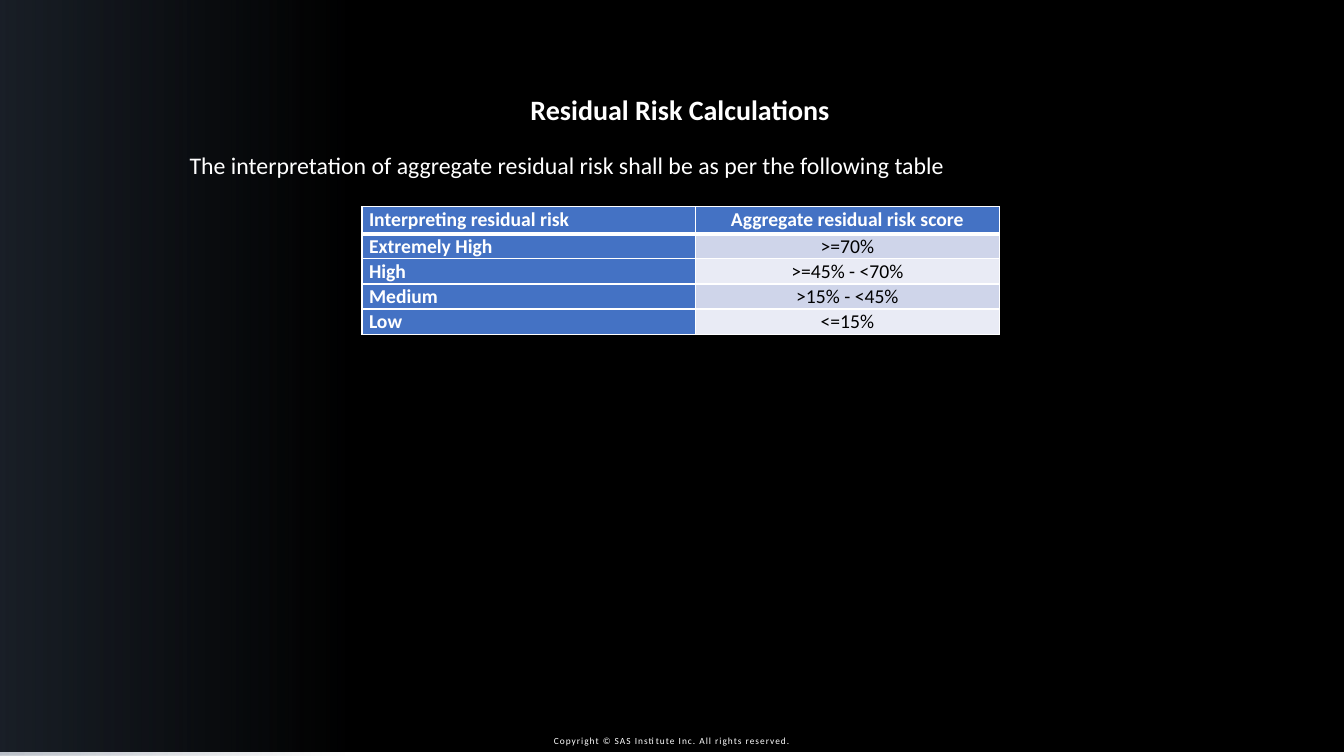
import pptx
import pptx.util
import pptx.dml.color
import pptx.enum.shapes
import pptx.enum.text
import pptx.oxml
import pptx.oxml.ns
import lxml.etree

Inches = pptx.util.Inches
Pt = pptx.util.Pt
RGBColor = pptx.dml.color.RGBColor
ALIGN = pptx.enum.text.PP_ALIGN
ANCHOR = pptx.enum.text.MSO_ANCHOR
qn = pptx.oxml.ns.qn

WHITE = RGBColor(0xFF, 0xFF, 0xFF)
BLACK = RGBColor(0x00, 0x00, 0x00)
SLATE = RGBColor(0x44, 0x54, 0x6A)
BLUE = RGBColor(0x44, 0x72, 0xC4)
BANDS = (RGBColor(0xCF, 0xD5, 0xEA), RGBColor(0xE9, 0xEB, 0xF5))

RISK_ROWS = [
    ("Interpreting residual risk", "Aggregate residual risk score"),
    ("Extremely High", ">=70%"),
    ("High", ">=45% - <70%"),
    ("Medium", ">15% - <45%"),
    ("Low", "<=15%"),
]


def write_text(frame, text, size, color=WHITE, bold=False, align=ALIGN.LEFT,
               line_spacing=1.0, space_after=0, tracking=None):
    paragraph = frame.paragraphs[0]
    properties = paragraph._p.get_or_add_pPr()
    properties.set("marL", "0")
    properties.set("indent", "0")
    lxml.etree.SubElement(properties, qn("a:buNone"))
    paragraph.alignment = align
    paragraph.line_spacing = line_spacing
    paragraph.space_before = Pt(0)
    paragraph.space_after = Pt(space_after)
    run = paragraph.add_run()
    run.text = text
    run.font.name = "Calibri"
    run.font.size = Pt(size)
    run.font.bold = bold
    run.font.color.rgb = color
    if tracking:
        run._r.get_or_add_rPr().set("spc", str(round(tracking * 100)))


def place(shape, left, top, width, height, anchor=ANCHOR.TOP):
    shape.left, shape.top = Inches(left), Inches(top)
    shape.width, shape.height = Inches(width), Inches(height)
    frame = shape.text_frame
    frame.word_wrap = True
    frame.auto_size = pptx.enum.text.MSO_AUTO_SIZE.NONE
    frame.vertical_anchor = anchor
    return frame


def add_panel(slide, depth, left, top, width, height):
    panel = slide.shapes.add_shape(
        pptx.enum.shapes.MSO_SHAPE.RECTANGLE,
        Inches(left), Inches(top), Inches(width), Inches(height))
    panel.shadow.inherit = False
    panel.line.fill.background()
    slide.shapes._spTree.insert(2 + depth, panel._element)
    return panel


def fade_panel(panel, color, stops):
    panel.fill.gradient()
    panel.fill.gradient_angle = 180
    for stop, (position, opacity) in zip(panel.fill.gradient_stops, stops):
        stop.position = position
        stop.color.rgb = color
        rgb = stop._gs.find(qn("a:srgbClr"))
        lxml.etree.SubElement(rgb, qn("a:alpha"), val=str(opacity * 1000))


def set_borders(cell, widths):
    properties = cell._tc.get_or_add_tcPr()
    for index, (side, width) in enumerate(widths.items()):
        border = pptx.oxml.parse_xml(
            f'<a:ln{side} {pptx.oxml.ns.nsdecls("a")} w="{Pt(width)}">'
            f'<a:solidFill><a:srgbClr val="{WHITE}"/></a:solidFill></a:ln{side}>')
        properties.insert(index, border)


def add_risk_table(slide):
    table = slide.shapes.add_table(
        len(RISK_ROWS), 2, Inches(3.59), Inches(2.05),
        Inches(6.32), Inches(1.25)).table
    for column, width in zip(table.columns, (3.31, 3.01)):
        column.width = Inches(width)
    for r, row in enumerate(RISK_ROWS):
        table.rows[r].height = Inches(0.24 if r else 0.27)
        for c, text in enumerate(row):
            cell = table.cell(r, c)
            is_score = r > 0 and c == 1
            cell.margin_left = cell.margin_right = Inches(0.07)
            cell.margin_top = cell.margin_bottom = 0
            cell.fill.solid()
            cell.fill.fore_color.rgb = BANDS[(r - 1) % 2] if is_score else BLUE
            set_borders(cell, {"L": 1, "R": 1, "T": 3 if r == 1 else 1,
                               "B": 3 if r == 0 else 1})
            write_text(cell.text_frame, text, size=14, line_spacing=1.05,
                       color=BLACK if is_score else WHITE, bold=not is_score,
                       align=ALIGN.CENTER if c else ALIGN.JUSTIFY)


def main():
    deck = pptx.Presentation()
    deck.slide_width, deck.slide_height = Inches(13.33), Inches(7.5)
    slide = deck.slides.add_slide(deck.slide_layouts[1])

    backdrop = add_panel(slide, 0, 0, -0.01, 13.33, 7.47)
    backdrop.fill.solid()
    backdrop.fill.fore_color.rgb = BLACK
    left_glow = add_panel(slide, 1, 0, 0, 3.51, 7.5)
    fade_panel(left_glow, SLATE, [(0.02, 0), (1, 36)])

    title = place(slide.shapes.title, 0.61, 0.87, 12.27, 0.44)
    write_text(title, "Residual Risk Calculations", size=20, bold=True,
               align=ALIGN.CENTER)
    introduction = place(slide.placeholders[1], 1.78, 1.43, 10.73, 0.39)
    write_text(introduction,
               "The interpretation of aggregate residual risk shall be as per "
               "the following table",
               size=17, line_spacing=1.05, space_after=6)

    add_risk_table(slide)

    copyright_box = slide.shapes.add_textbox(0, 0, 0, 0)
    copyright_line = place(copyright_box, 4.83, 7.24, 3.67, 0.21, ANCHOR.BOTTOM)
    write_text(copyright_line,
               "Copyright © SAS Institute Inc. All rights reserved.",
               size=6.7, align=ALIGN.CENTER, tracking=0.7)

    deck.save("out.pptx")


if __name__ == "__main__":
    main()
